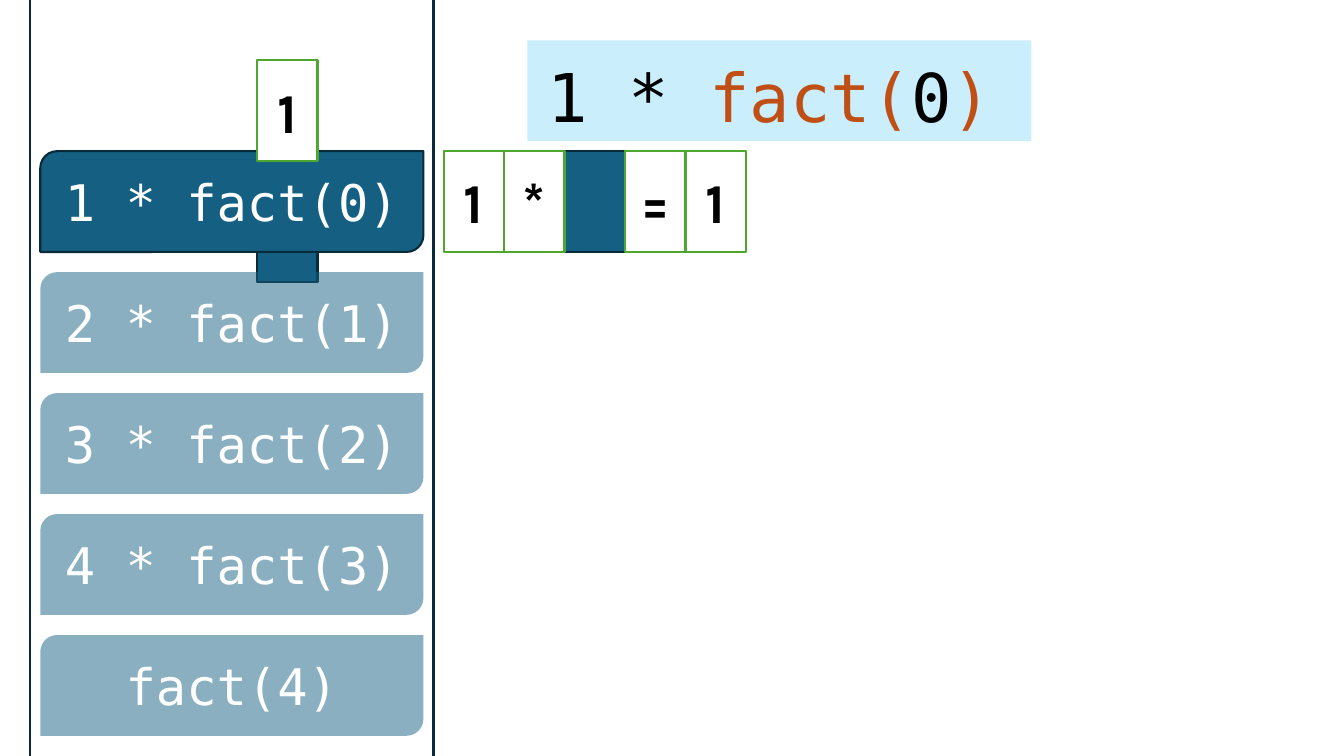
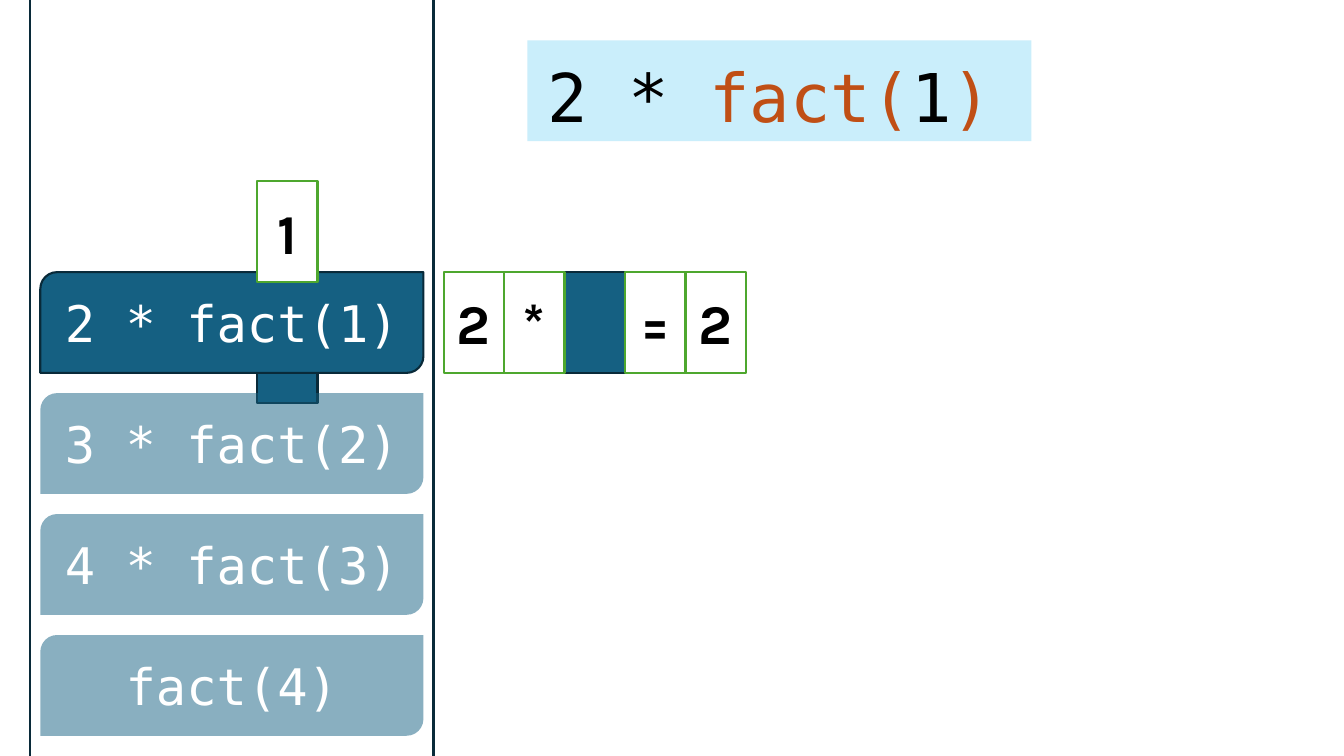
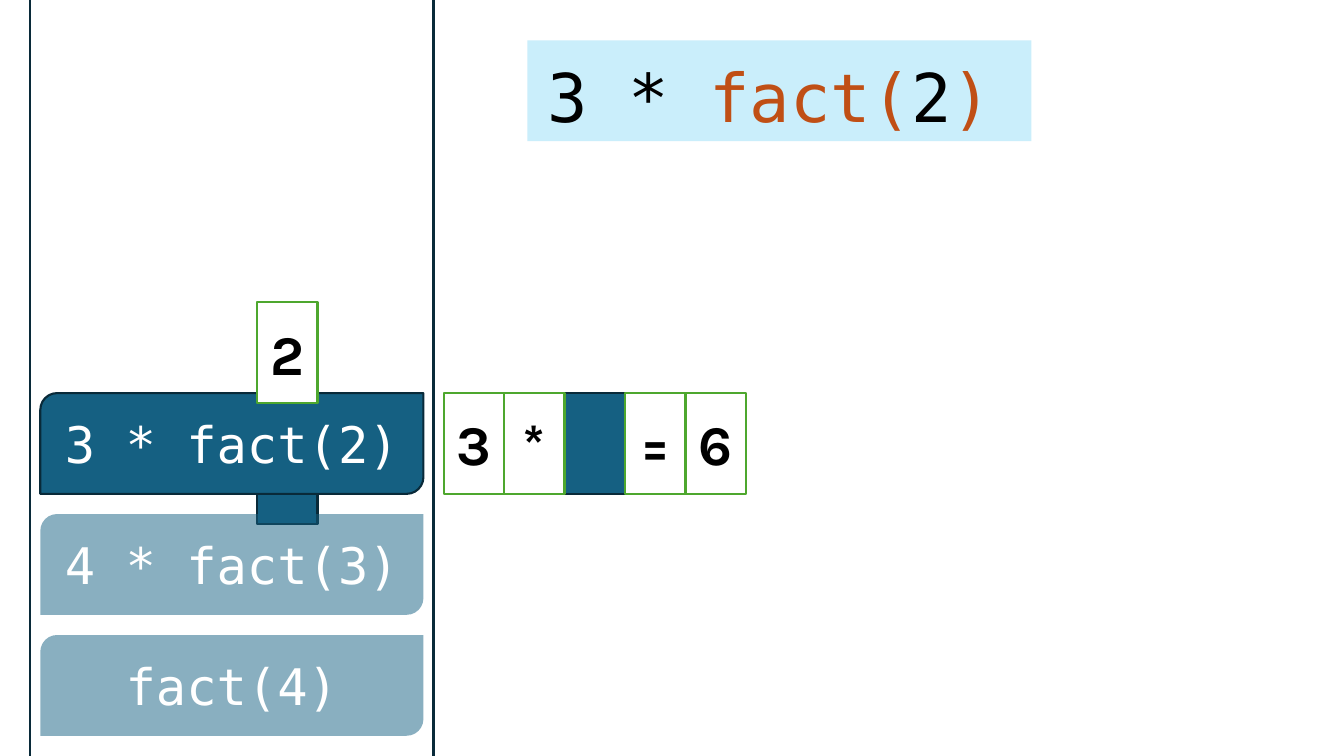
from math import factorial

from lxml.etree import SubElement
from pptx import Presentation
from pptx.dml.color import RGBColor
from pptx.enum.shapes import MSO_SHAPE
from pptx.enum.text import MSO_ANCHOR, MSO_AUTO_SIZE, PP_ALIGN
from pptx.oxml.ns import qn
from pptx.util import Inches, Pt

TEAL = RGBColor(0x15, 0x60, 0x82)
NAVY = RGBColor(0x09, 0x2A, 0x39)
GREEN = RGBColor(0x4E, 0xA7, 0x2E)
SKY = RGBColor(0xCA, 0xEE, 0xFB)
ORANGE = RGBColor(0xC0, 0x4F, 0x15)
BLACK = RGBColor(0, 0, 0)
WHITE = RGBColor(0xFF, 0xFF, 0xFF)

CODE = {"name": "DejaVu Sans Mono", "size": Pt(36)}
BIG_CODE = {"name": "DejaVu Sans Mono", "size": Pt(48)}
DIGIT = {"name": "Karla", "size": Pt(40), "bold": True}

TOP_CALL = 4
STACK_LEFT, STACK_TOP, STACK_WIDTH = 0.3, -0.2, 4
FRAME_TOP, FRAME_STEP, FRAME_HEIGHT = 1.5, 1.2, 1
PAD = 0.1
CELL_WIDTH = 0.6
VALUE_LEFT = 2.55


def add_run(p, text, style, color):
    r = p.add_run()
    r.text = text
    for name, value in style.items():
        setattr(r.font, name, value)
    r.font.color.rgb = color


def add_box(slide, box, fill=None, line=None, kind=MSO_SHAPE.RECTANGLE, alpha=None):
    sp = slide.shapes.add_shape(kind, *map(Inches, box))
    sp.shadow.inherit = False
    if fill is None:
        sp.fill.background()
    else:
        sp.fill.solid()
        sp.fill.fore_color.rgb = fill
    if alpha is not None:
        color = sp.fill._xPr.find(qn("a:solidFill"))[0]
        SubElement(color, qn("a:alpha")).set("val", str(alpha * 1000))
    if line is None:
        sp.line.fill.background()
    else:
        sp.line.color.rgb = line
        sp.line.width = Pt(1.5)
    return sp


def add_label(sp, text, style, color):
    tf = sp.text_frame
    tf.word_wrap = True
    tf.vertical_anchor = MSO_ANCHOR.MIDDLE
    p = tf.paragraphs[0]
    p.alignment = PP_ALIGN.CENTER
    add_run(p, text, style, color)


def frame_top(n):
    return FRAME_TOP + (n - 1) * FRAME_STEP


def add_cell(slide, left, top, text=None):
    """Draw a white cell with its text, or an empty teal slot."""
    box = (left, top, CELL_WIDTH, FRAME_HEIGHT)
    if text is None:
        add_box(slide, box, TEAL, NAVY)
    else:
        add_label(add_box(slide, box, WHITE, GREEN), text, DIGIT, BLACK)


def add_stack(slide, active):
    """Draw the call stack from the first call up to the active one."""
    add_box(slide, (STACK_LEFT, STACK_TOP, STACK_WIDTH, 7.9), line=NAVY)
    for n in range(TOP_CALL + 1, active - 1, -1):
        box = (STACK_LEFT + PAD, frame_top(n), STACK_WIDTH - 2 * PAD, FRAME_HEIGHT)
        look = {"line": NAVY} if n == active else {"alpha": 50}
        sp = add_box(slide, box, TEAL, kind=MSO_SHAPE.ROUND_2_DIAG_RECTANGLE, **look)
        call = f"fact({n - 1})"
        add_label(sp, call if n > TOP_CALL else f"{n} * {call}", CODE, WHITE)


def add_equation(slide, left, top, n):
    """Draw the row of cells: n * (slot) = n!"""
    cells = [None, str(n), "*", "=", str(factorial(n))]
    columns = [2, 0, 1, 3, 4]
    for column, text in zip(columns, cells):
        add_cell(slide, left + column * CELL_WIDTH, top, text)


def add_banner(slide, left, top, n):
    add_box(slide, (left, top, 5, 1), SKY)
    box = (left + PAD, top + PAD, 6.68, 0.91)
    tf = slide.shapes.add_textbox(*map(Inches, box)).text_frame
    tf.word_wrap = True
    tf.auto_size = MSO_AUTO_SIZE.SHAPE_TO_FIT_TEXT
    parts = [(f"{n} * ", BLACK), ("fact(", ORANGE), (str(n - 1), BLACK), (")", ORANGE)]
    for text, color in parts:
        add_run(tf.paragraphs[0], text, BIG_CODE, color)


def add_return_slide(prs, n):
    slide = prs.slides.add_slide(prs.slide_layouts[6])
    top = frame_top(n)
    add_cell(slide, VALUE_LEFT, top + 0.3)
    add_stack(slide, n)
    add_cell(slide, VALUE_LEFT, top - 0.9, str(factorial(n - 1)))
    add_equation(slide, STACK_LEFT + STACK_WIDTH + PAD, top, n)
    add_banner(slide, 5.23, 0.4, n)


def main():
    prs = Presentation()
    prs.slide_width, prs.slide_height = Inches(13.33), Inches(7.5)
    for n in (1, 2, 3):
        add_return_slide(prs, n)
    prs.save("out.pptx")


if __name__ == "__main__":
    main()
